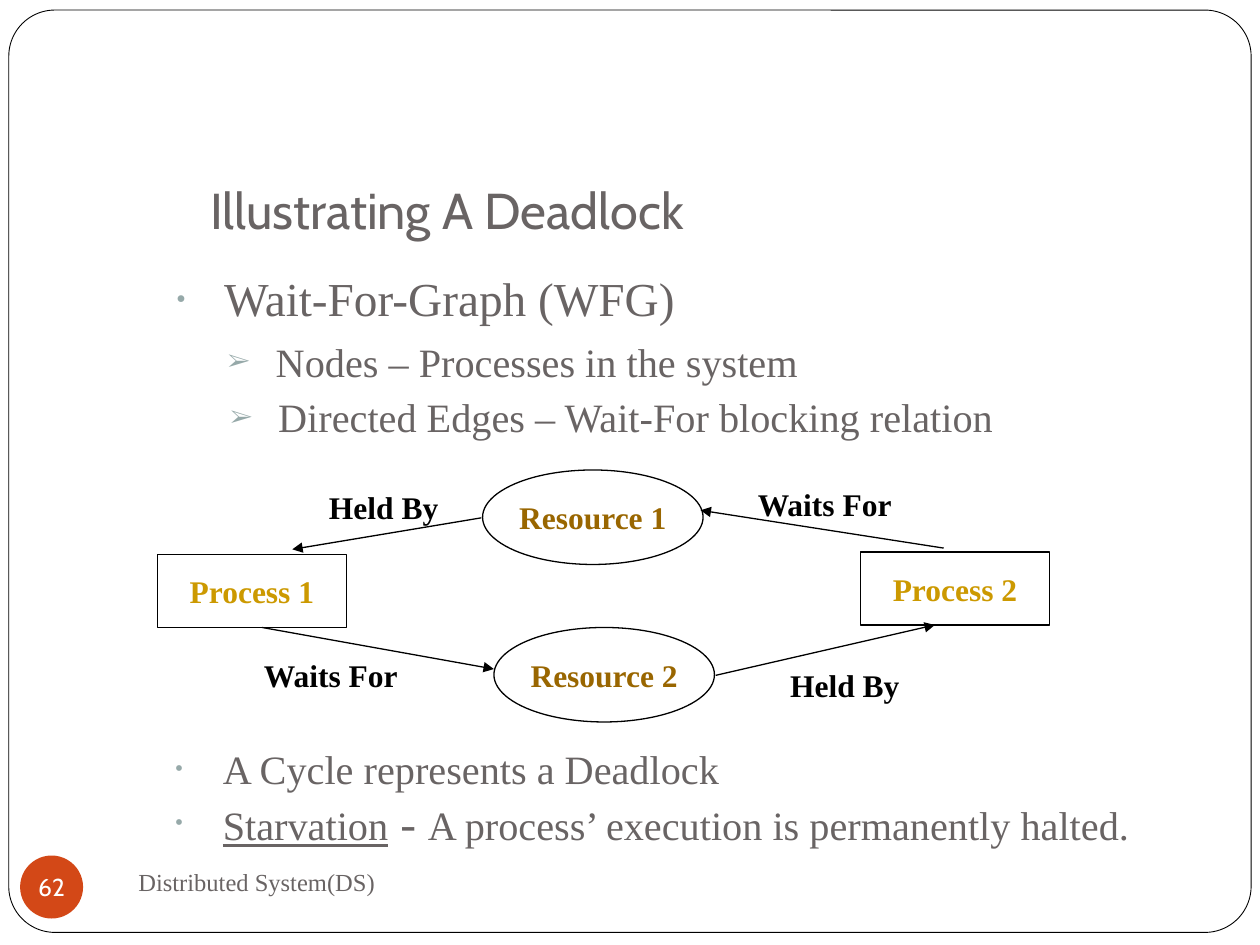
import pptx
import pptx.util
import pptx.dml.color
import pptx.enum.shapes
import pptx.enum.text
import pptx.oxml
import pptx.oxml.ns
from lxml import etree

# Theme: colours, fonts and type sizes; 100 px to the inch
SCALE = 9144
THEME = dict(
    white="FFFFFF", black="000000", grey="696464", bullet="96A9A9",
    process="CC9900", resource="996600", badge="D34817",
    heading="Cabin", body="Times New Roman",
    title=28.8, large=27, medium=23, label=18, small=14,
    frame_line=0.5, line=0.75,
)
SHAPE = pptx.enum.shapes.MSO_SHAPE
ALIGN = pptx.enum.text.PP_ALIGN
ANCHOR = pptx.enum.text.MSO_ANCHOR

# Content: boxes are left, top, width, height
FRAME = (7, 8, 986, 732)
TITLE = ("Illustrating A Deadlock", (157, 139, 587, 61))
BULLETS = [  # box, bullet, runs of (text, size, underline)
    ((130, 214, 534, 60), "•", [("Wait-For-Graph (WFG)", "large", False)]),
    ((171, 267, 529, 40), "➢", [("Nodes – Processes in the system", "medium", False)]),
    ((173, 311, 694, 39), "➢",
     [("Directed Edges – Wait-For blocking relation", "medium", False)]),
    ((129, 590, 587, 44), "•", [("A Cycle represents a Deadlock", "medium", False)]),
    ((129, 630, 871, 50), "•",
     [("Starvation", "medium", True), (" - ", "large", False),
      ("A process’ execution is permanently halted.", "medium", False)]),
]
NODE_KINDS = {  # kind: preset, size
    "process": (SHAPE.RECTANGLE, (150, 58)),
    "resource": (SHAPE.OVAL, (175, 75)),
}
NODES = [
    ("Process 1", "process", (125, 440)),
    ("Process 2", "process", (683, 438)),
    ("Resource 1", "resource", (383, 373)),
    ("Resource 2", "resource", (392, 498)),
]
EDGES = [
    ((568, 536), (742, 496)),
    ((208, 498), (392, 531)),
    ((749, 435), (556, 405)),
    ((382, 411), (232, 436)),
]
LABEL_SIZE = (125, 25)
LABELS = [
    ("Waits For", (200, 523)),
    ("Waits For", (592, 387)),
    ("Held By", (608, 531)),
    ("Held By", (242, 390)),
]
NUMBER = ("62", (16, 679, 50, 50))
FOOTER = ("Distributed System(DS)", (100, 675, 433, 50))


def px(*lengths):
    return [pptx.util.Emu(n * SCALE) for n in lengths]


def rgb(name):
    return pptx.dml.color.RGBColor.from_string(THEME[name])


def add_bullet(p, char):
    pPr = p._p.get_or_add_pPr()
    indent = px(38)[0]
    pPr.set("marL", str(indent))
    pPr.set("indent", str(-indent))
    color = etree.SubElement(pPr, pptx.oxml.ns.qn("a:buClr"))
    etree.SubElement(color, pptx.oxml.ns.qn("a:srgbClr"), val=THEME["bullet"])
    for tag, attr, value in (("a:buSzPct", "val", "60000"),
                             ("a:buFont", "typeface", THEME["body"]),
                             ("a:buChar", "char", char)):
        etree.SubElement(pPr, pptx.oxml.ns.qn(tag)).set(attr, value)
    p.line_spacing = 0.9


def write(sp, runs, size="medium", font="body", color="grey", bold=False, bullet=None,
          align=ALIGN.LEFT, anchor=ANCHOR.TOP, wrap=True, insets=(10, 5, 10, 5)):
    """Write one paragraph; runs is a string or a list of (text, size, underline)."""
    tf = sp.text_frame
    tf.word_wrap = wrap
    tf.vertical_anchor = anchor
    tf.margin_left, tf.margin_top, tf.margin_right, tf.margin_bottom = px(*insets)
    p = tf.paragraphs[0]
    p.alignment = align
    if bullet:
        add_bullet(p, bullet)
    for text, run_size, underline in [(runs, size, False)] if isinstance(runs, str) else runs:
        r = p.add_run()
        r.text = text
        r.font.name = THEME[font]
        r.font.size = pptx.util.Pt(THEME[run_size])
        r.font.color.rgb = rgb(color)
        r.font.bold = bold
        r.font.underline = underline


def add_shape(s, preset, box, fill=None, line="line"):
    sp = s.shapes.add_shape(preset, *px(*box))
    sp.shadow.inherit = False
    if fill:
        sp.fill.solid()
        sp.fill.fore_color.rgb = rgb(fill)
    else:
        sp.fill.background()
    if line:
        sp.line.color.rgb = rgb("black")
        sp.line.width = pptx.util.Pt(THEME[line])
    else:
        sp.line.fill.background()
    return sp


def add_text(s, box, runs, **fmt):
    write(s.shapes.add_textbox(*px(*box)), runs, **fmt)


def add_arrow(s, start, end):
    cx = s.shapes.add_connector(pptx.enum.shapes.MSO_CONNECTOR.STRAIGHT, *px(*start, *end))
    cx.line.color.rgb = rgb("black")
    cx.line.width = pptx.util.Pt(THEME["line"])
    etree.SubElement(cx.line._get_or_add_ln(), pptx.oxml.ns.qn("a:tailEnd"), type="triangle")
    etree.SubElement(cx._element.spPr, pptx.oxml.ns.qn("a:effectLst"))


def main():
    prs = pptx.Presentation()
    prs.slide_width, prs.slide_height = px(1000, 750)
    s = prs.slides.add_slide(prs.slide_layouts[6])
    # Centred text has no insets, so that each label keeps to one line
    centred = dict(align=ALIGN.CENTER, anchor=ANCHOR.MIDDLE, wrap=False, insets=(0, 0, 0, 0))

    # Frame and title
    frame = add_shape(s, SHAPE.ROUNDED_RECTANGLE, FRAME, "white", "frame_line")
    frame.adjustments[0] = 0.05
    text, box = TITLE
    add_text(s, box, text, size="title", font="heading", anchor=ANCHOR.BOTTOM,
             insets=(10, 5, 10, 10))

    # Bullets
    for box, char, runs in BULLETS:
        add_text(s, box, runs, bullet=char)

    # Wait-for graph
    for text, kind, at in NODES:
        preset, size = NODE_KINDS[kind]
        write(add_shape(s, preset, at + size), text, size="label", color=kind,
              bold=True, **centred)
    for start, end in EDGES:
        add_arrow(s, start, end)
    for text, at in LABELS:
        add_text(s, at + LABEL_SIZE, text, size="label", color="black", bold=True, **centred)

    # Slide number and footer
    text, box = NUMBER
    write(add_shape(s, SHAPE.OVAL, box, "badge", None), text, size="small",
          font="heading", color="white", **centred)
    text, box = FOOTER
    add_text(s, box, text, size="small", anchor=ANCHOR.MIDDLE)

    prs.save("out.pptx")


if __name__ == "__main__":
    main()
